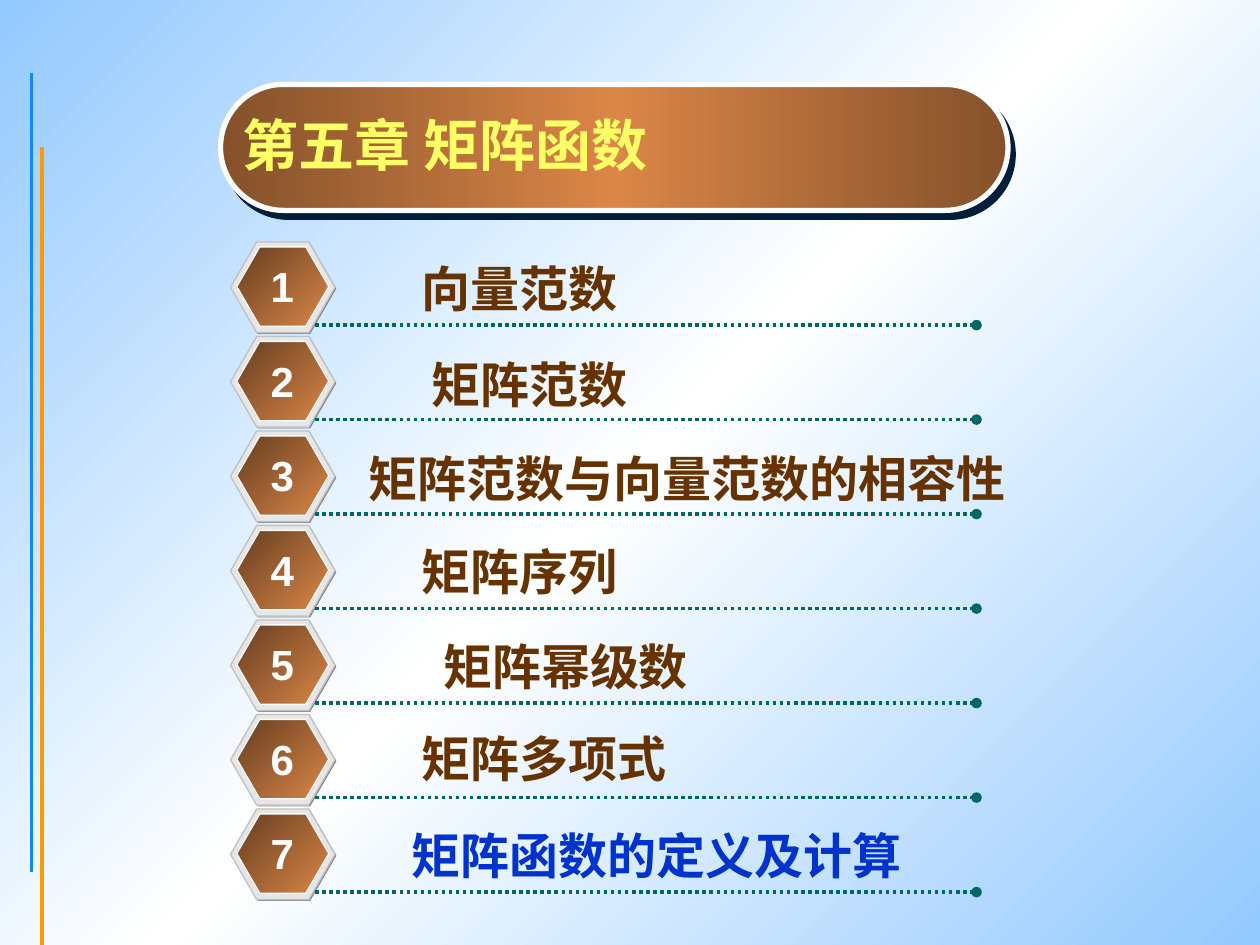
from lxml import etree
from pptx import Presentation
from pptx.dml.color import RGBColor
from pptx.enum import dml, shapes, text
from pptx.oxml.ns import qn
from pptx.util import Inches, Pt

color = RGBColor.from_string


def paint_gradient(fill, element, colors, angle):
    fill.gradient()
    fill.gradient_angle = -angle % 360
    stops = element.find(".//" + qn("a:gsLst"))
    for stop in list(stops):
        stops.remove(stop)
    for index, value in enumerate(colors):
        position = str(100000 * index // (len(colors) - 1))
        stop = etree.SubElement(stops, qn("a:gs"), pos=position)
        etree.SubElement(stop, qn("a:srgbClr"), val=value)


def add_label(container, left, top, width, height, words, size, font, value):
    box = container.add_textbox(Inches(left), Inches(top), Inches(width), Inches(height))
    frame = box.text_frame
    frame.word_wrap = True
    frame.auto_size = text.MSO_AUTO_SIZE.SHAPE_TO_FIT_TEXT
    run = frame.paragraphs[0].add_run()
    run.text = words
    run.font.size = Pt(size)
    run.font.name = font
    run.font.bold = True
    run.font.color.rgb = color(value)
    return frame


presentation = Presentation()
presentation.slide_width = Inches(10)
presentation.slide_height = Inches(7.5)
slide = presentation.slides.add_slide(presentation.slide_layouts[6])
paint_gradient(slide.background.fill, slide.element, ["93C9FF", "FFFFFF", "93C9FF"], 45)

for x, top, bottom, value in [(0.33, 1.17, 7.5, "FF9900"), (0.25, 0.58, 6.92, "1188FF")]:
    side_line = slide.shapes.add_connector(
        shapes.MSO_CONNECTOR.STRAIGHT, Inches(x), Inches(top), Inches(x), Inches(bottom))
    side_line.line.color.rgb = color(value)
    side_line.line.width = Pt(2.25)
    etree.SubElement(side_line.element.spPr, qn("a:effectLst"))

banner = slide.shapes.add_shape(
    shapes.MSO_SHAPE.ROUNDED_RECTANGLE, Inches(1.75), Inches(0.67), Inches(6.25), Inches(1))
banner.adjustments[0] = 0.5
paint_gradient(banner.fill, banner.element, ["85512B", "DB8647", "85512B"], 0)
banner.line.color.rgb = color("FFFFFF")
banner.line.width = Pt(3)
banner.shadow.inherit = False
effects = banner.element.spPr.find(qn("a:effectLst"))
shadow = etree.SubElement(effects, qn("a:outerShdw"), blurRad="0", dist=str(Pt(5)),
                          dir=str(53 * 60000), algn="ctr", rotWithShape="0")
etree.SubElement(shadow, qn("a:srgbClr"), val="001D3A")
add_label(slide.shapes, 1.83, 0.83, 6.17, 0.64, "第五章 矩阵函数", 32, "Times New Roman", "FFFF66")

topics = [
    ("向量范数", 3.25, 2, 2.92, "663300"),
    ("矩阵范数", 3.33, 2.76, 3.17, "663300"),
    ("矩阵范数与向量范数的相容性", 2.83, 3.51, 5.5, "663300"),
    ("矩阵序列", 3.25, 4.25, 2.92, "663300"),
    ("矩阵幂级数", 3.42, 5, 3.17, "663300"),
    ("矩阵多项式", 3.25, 5.73, 3.17, "663300"),
    ("矩阵函数的定义及计算", 3.17, 6.5, 4.33, "0033CC"),
]
hexagons = [
    (1.84, 0.01, 0.83, 0.72, "808080", None),
    (1.83, 0, 0.83, 0.72, "E6E6E6", "C0C0C0"),
    (1.88, 0.04, 0.73, 0.63, None, "FFFFFF"),
]
for index, (topic, left, top, width, value) in enumerate(topics):
    row_top = 1.92 + 0.75 * index
    group = slide.shapes.add_group_shape()
    for x, offset, hex_width, hex_height, fill_value, line_value in hexagons:
        hexagon = group.shapes.add_shape(
            shapes.MSO_SHAPE.HEXAGON, Inches(x), Inches(row_top + offset),
            Inches(hex_width), Inches(hex_height))
        hexagon.adjustments[0] = 0.289
        hexagon.shadow.inherit = False
        if fill_value:
            hexagon.fill.solid()
            hexagon.fill.fore_color.rgb = color(fill_value)
        else:
            paint_gradient(hexagon.fill, hexagon.element, ["653E21", "DB8647"], 45)
        if line_value:
            hexagon.line.color.rgb = color(line_value)
            hexagon.line.width = Pt(0.75)
        else:
            hexagon.line.fill.background()

    rule_y = Inches(row_top + 0.66)
    rule = group.shapes.add_connector(
        shapes.MSO_CONNECTOR.STRAIGHT, Inches(2.5), rule_y, Inches(7.75), rule_y)
    rule.line.color.rgb = color("006666")
    rule.line.width = Pt(2)
    rule.line.dash_style = dml.MSO_LINE.ROUND_DOT
    etree.SubElement(rule.element.spPr.find(qn("a:ln")), qn("a:tailEnd"), type="oval")
    etree.SubElement(rule.element.spPr, qn("a:effectLst"))

    number = add_label(group.shapes, 2.05, row_top + 0.1, 0.38, 0.5,
                       str(index + 1), 24, "Arial", "FFFFFF")
    number.word_wrap = False
    number.paragraphs[0].alignment = text.PP_ALIGN.CENTER

    label = add_label(slide.shapes, left, top, width, 0.57, topic, 28, "Times New Roman", value)
    label.vertical_anchor = text.MSO_ANCHOR.MIDDLE

presentation.save("out.pptx")
